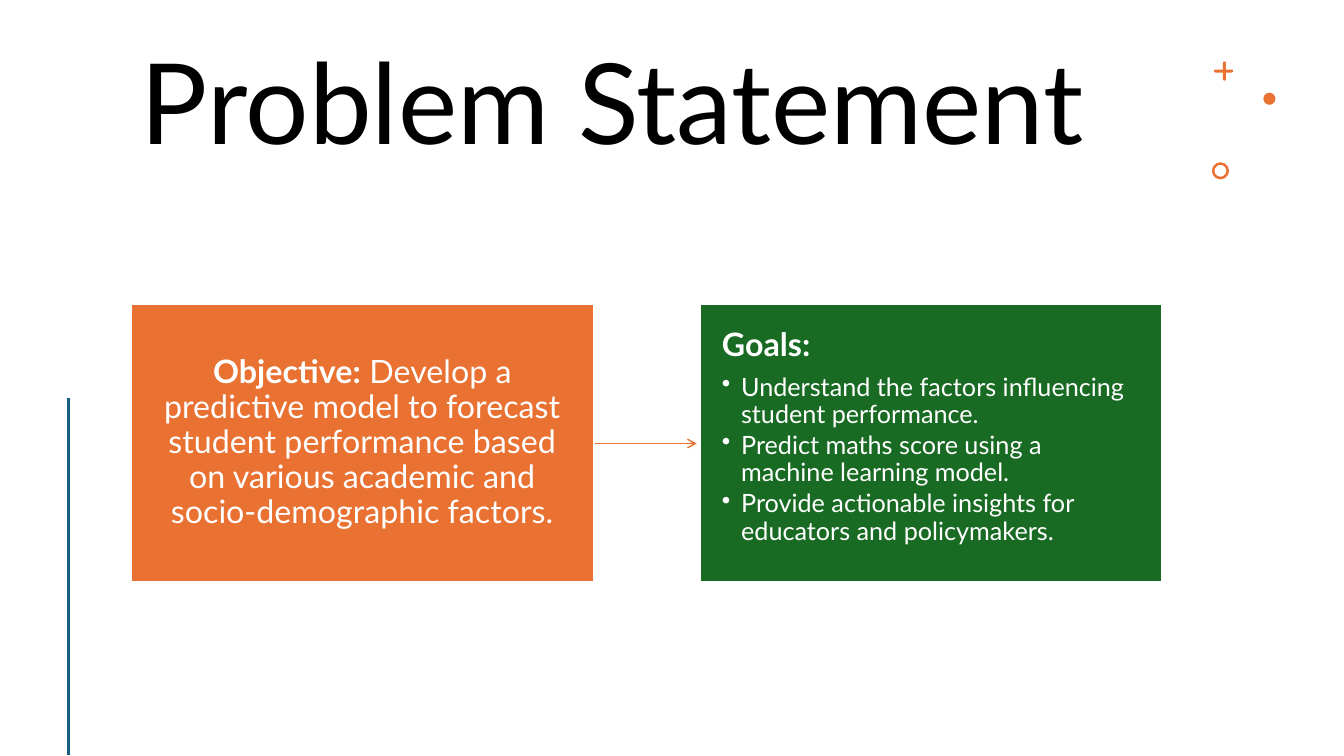
from lxml import etree
from pptx import Presentation
from pptx.dml.color import RGBColor
from pptx.enum import shapes, text
from pptx.oxml.ns import qn
from pptx.util import Inches, Pt

COLORS = {"orange": "E97132", "green": "196B24", "blue": "156082", "white": "FFFFFF", "black": "000000"}
SHAPE = shapes.MSO_SHAPE
FONT = "Lato"

presentation = Presentation()
presentation.slide_width = Inches(13.33)
presentation.slide_height = Inches(7.5)
slide = presentation.slides.add_slide(presentation.slide_layouts[6])


def add_filled(kind, left, top, width, height, color):
    shape = slide.shapes.add_shape(kind, Inches(left), Inches(top), Inches(width), Inches(height))
    shape.shadow.inherit = False
    shape.fill.solid()
    shape.fill.fore_color.rgb = RGBColor.from_string(COLORS[color])
    shape.line.fill.background()
    return shape


def format_paragraph(paragraph, size, color, space_after=0, bold=False):
    paragraph.line_spacing = 0.9
    paragraph.space_after = Pt(space_after)
    for run in paragraph.runs:
        run.font.name = FONT
        run.font.size = Pt(size)
        run.font.bold = bold
        run.font.color.rgb = RGBColor.from_string(COLORS[color])


title = slide.shapes.add_textbox(Inches(1.3), Inches(0.42), Inches(10.23), Inches(1.31))
title.text_frame.word_wrap = True
title.text_frame.vertical_anchor = text.MSO_ANCHOR.MIDDLE
title.text_frame.text = "Problem Statement"
format_paragraph(title.text_frame.paragraphs[0], 80, "black")

for left, top, width, height in [(12.04, 0.69, 0.19, 0.03), (12.13, 0.61, 0.03, 0.19)]:
    plus_bar = add_filled(SHAPE.ROUNDED_RECTANGLE, left, top, width, height, "orange")
    plus_bar.adjustments[0] = 0.5
add_filled(SHAPE.OVAL, 12.53, 0.92, 0.12, 0.12, "orange")
ring = add_filled(SHAPE.DONUT, 12.02, 1.61, 0.17, 0.17, "orange")
ring.adjustments[0] = 0.15

lines = []
for x1, y1, x2, y2, color, width in [
    (0.68, 3.95, 0.68, 7.49, "blue", 2),
    (5.89, 4.4, 6.91, 4.4, "orange", 1),
]:
    line = slide.shapes.add_connector(
        shapes.MSO_CONNECTOR.STRAIGHT, Inches(x1), Inches(y1), Inches(x2), Inches(y2)
    )
    line.line.color.rgb = RGBColor.from_string(COLORS[color])
    line.line.width = Pt(width)
    etree.SubElement(line._element.spPr, qn("a:effectLst"))
    lines.append(line)
etree.SubElement(lines[1].line._get_or_add_ln(), qn("a:tailEnd"), type="arrow")

cards = []
for left, color, anchor in [
    (1.3, "orange", text.MSO_ANCHOR.MIDDLE),
    (6.94, "green", text.MSO_ANCHOR.TOP),
]:
    card = add_filled(SHAPE.RECTANGLE, left, 3.02, 4.59, 2.75, color)
    card.line.color.rgb = RGBColor.from_string(COLORS["white"])
    card.line.width = Pt(1.5)
    frame = card.text_frame
    frame.word_wrap = True
    frame.vertical_anchor = anchor
    frame.margin_left = frame.margin_right = Inches(0.22)
    frame.margin_top = frame.margin_bottom = Inches(0.24)
    cards.append(frame)
objective, goals = cards

paragraph = objective.paragraphs[0]
paragraph.alignment = text.PP_ALIGN.CENTER
for words in [
    "Objective:",
    " Develop a predictive model to forecast student performance based "
    "on various academic and socio-demographic factors.",
]:
    paragraph.add_run().text = words
format_paragraph(paragraph, 23, "white", 8)
paragraph.runs[0].font.bold = True

goals.text = "Goals:"
goals.paragraphs[0].alignment = text.PP_ALIGN.LEFT
format_paragraph(goals.paragraphs[0], 23, "white", 8, bold=True)
for goal in [
    "Understand the factors influencing student performance.",
    "Predict maths score using a machine learning model.",
    "Provide actionable insights for educators and policymakers.",
]:
    paragraph = goals.add_paragraph()
    paragraph.text = goal
    paragraph.level = 1
    paragraph.alignment = text.PP_ALIGN.LEFT
    format_paragraph(paragraph, 18, "white", 2.7)
    properties = paragraph._p.get_or_add_pPr()
    properties.set("marL", str(Inches(0.19)))
    properties.set("indent", str(-Inches(0.19)))
    etree.SubElement(properties, qn("a:buChar"), char="•")

presentation.save("out.pptx")
